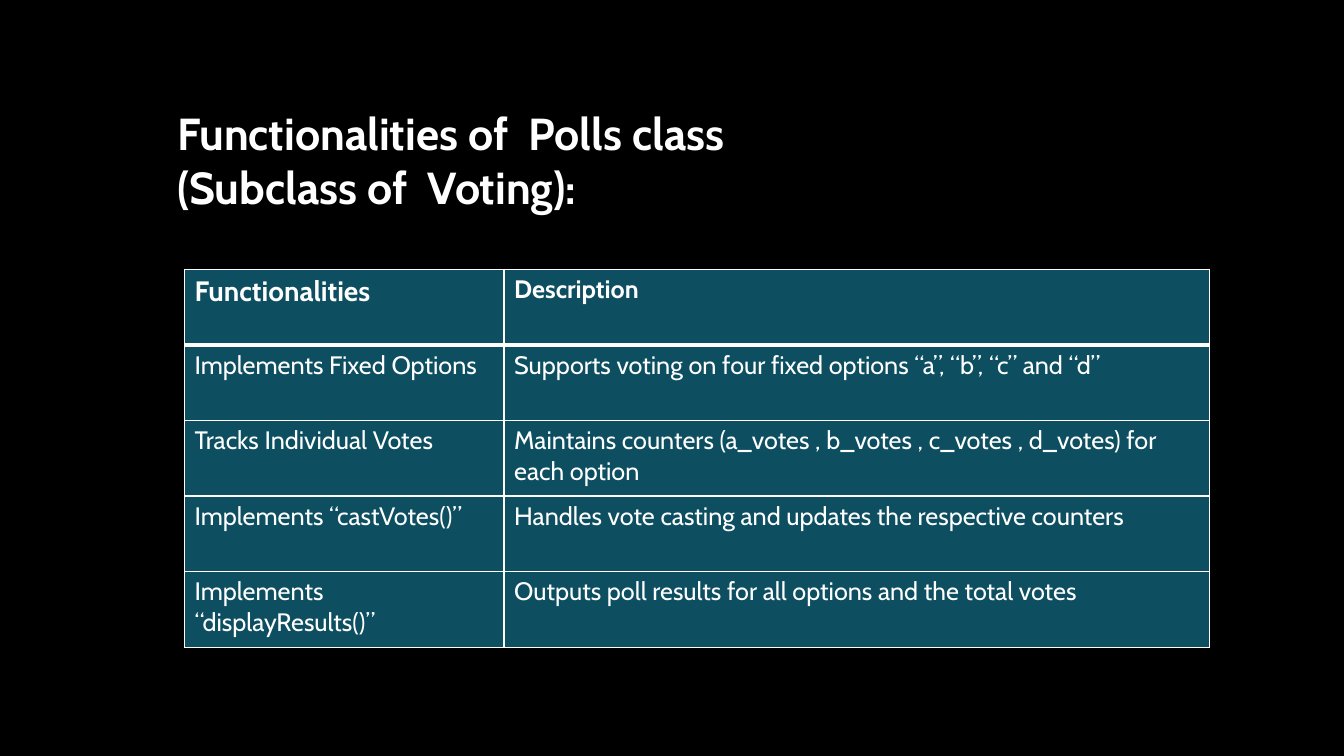
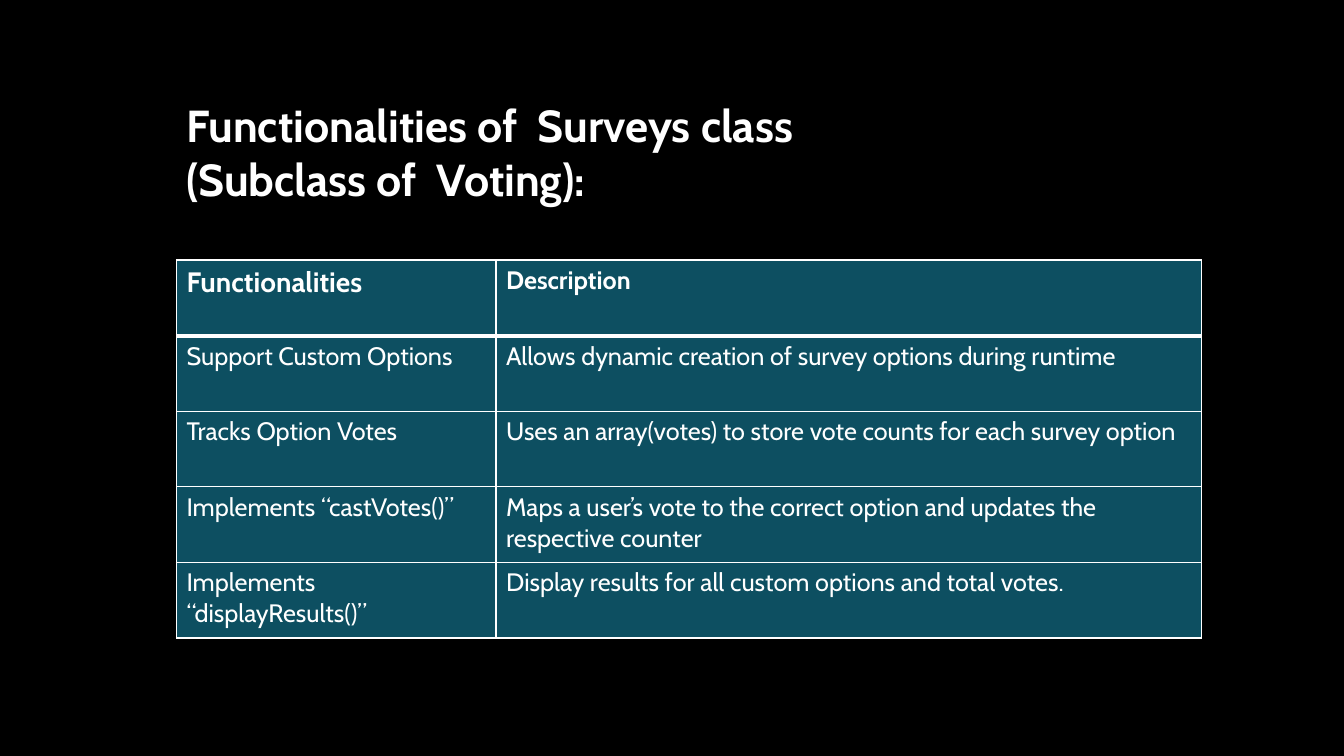
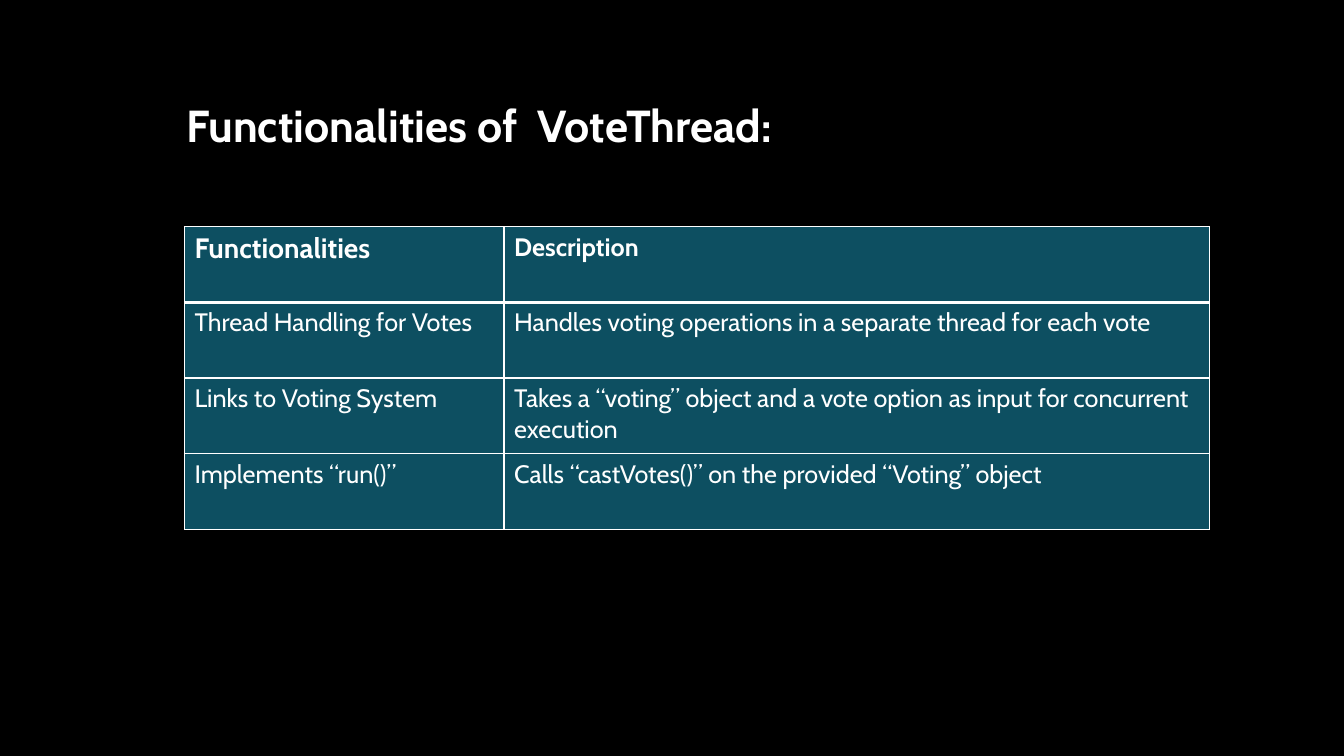
"""Build three slides that describe the classes of a voting program."""
import dataclasses

import lxml.etree
import pptx
import pptx.dml.color
import pptx.enum.text
import pptx.oxml.ns
import pptx.util
from pptx.util import Inches


@dataclasses.dataclass(frozen=True)
class Theme:
    """Hold the colours, type sizes and table measures of the deck."""
    font: str = "Cabin"
    background: str = "000000"
    text: str = "FFFFFF"
    cell: str = "0D4F61"
    border: str = "FFFFFF"
    title_size: int = 32
    heading_size: int = 20
    body_size: int = 18
    border_width: int = 1
    header_rule_width: int = 3
    title_width: float = 6.83
    column_widths: tuple = (3.17, 7)
    row_height: float = 0.75


THEME = Theme()
HEADER = ("Functionalities", "Description")


@dataclasses.dataclass(frozen=True)
class ClassSlide:
    """Hold the title, table rows and positions of one slide."""
    title: str
    title_box: tuple
    table_corner: tuple
    rows: tuple


CLASS_SLIDES = (
    ClassSlide(
        "Functionalities of  Polls class (Subclass of  Voting):",
        (1.66, 1, 1.18),
        (1.83, 2.67),
        (
            ("Implements Fixed Options",
             "Supports voting on four fixed options “a”, “b”, “c” and “d”"),
            ("Tracks Individual Votes",
             "Maintains counters (a_votes , b_votes , c_votes , d_votes) for each option"),
            ("Implements “castVotes()”",
             "Handles vote casting and updates the respective counters"),
            ("Implements “displayResults()”",
             "Outputs poll results for all options and the total votes"),
        ),
    ),
    ClassSlide(
        "Functionalities of  Surveys class (Subclass of  Voting):",
        (1.75, 0.92, 1.18),
        (1.75, 2.58),
        (
            ("Support Custom Options",
             "Allows dynamic creation of survey options during runtime"),
            ("Tracks Option Votes",
             "Uses an array(votes) to store vote counts for each survey option"),
            ("Implements “castVotes()”",
             "Maps a user’s vote to the correct option and updates the respective counter"),
            ("Implements “displayResults()”",
             "Display results for all custom options and total votes."),
        ),
    ),
    ClassSlide(
        "Functionalities of  VoteThread:",
        (1.75, 0.92, 0.64),
        (1.83, 2.25),
        (
            ("Thread Handling for Votes",
             "Handles voting operations in a separate thread for each vote"),
            ("Links to Voting System",
             "Takes a “voting” object and a vote option as input for concurrent execution"),
            ("Implements “run()”",
             "Calls “castVotes()” on the provided “Voting” object"),
        ),
    ),
)


def paint(fill, colour):
    """Make a fill solid in the given colour."""
    fill.solid()
    fill.fore_color.rgb = pptx.dml.color.RGBColor.from_string(colour)


def write_text(text_frame, text, size, bold):
    """Write one paragraph in the deck's font and text colour."""
    paragraph = text_frame.paragraphs[0]
    paragraph.text = text
    font = paragraph.font
    font.name = THEME.font
    font.size = pptx.util.Pt(size)
    font.bold = bold
    font.color.rgb = pptx.dml.color.RGBColor.from_string(THEME.text)


def set_borders(cell, top_width, bottom_width):
    """Draw the four borders of a table cell."""
    qualified = pptx.oxml.ns.qn
    properties = cell._tc.get_or_add_tcPr()
    widths = {"lnL": THEME.border_width, "lnR": THEME.border_width,
              "lnT": top_width, "lnB": bottom_width}
    for position, (side, width) in enumerate(widths.items()):
        line = lxml.etree.Element(qualified(f"a:{side}"), w=str(pptx.util.Pt(width)))
        fill = lxml.etree.SubElement(line, qualified("a:solidFill"))
        lxml.etree.SubElement(fill, qualified("a:srgbClr"), val=THEME.border)
        properties.insert(position, line)


def add_title(slide, text, box):
    """Add the bold title in a wrapping text box."""
    left, top, height = box
    shape = slide.shapes.add_textbox(
        Inches(left), Inches(top), Inches(THEME.title_width), Inches(height))
    text_frame = shape.text_frame
    text_frame.word_wrap = True
    text_frame.auto_size = pptx.enum.text.MSO_AUTO_SIZE.SHAPE_TO_FIT_TEXT
    write_text(text_frame, text, THEME.title_size, True)


def add_functionality_table(slide, corner, body_rows):
    """Add the two-column table with its bold header row."""
    rows = (HEADER, *body_rows)
    left, top = corner
    table = slide.shapes.add_table(
        len(rows), len(HEADER), Inches(left), Inches(top),
        Inches(sum(THEME.column_widths)), Inches(THEME.row_height * len(rows))).table
    table.horz_banding = False
    for column, width in zip(table.columns, THEME.column_widths):
        column.width = Inches(width)
    for row_index, texts in enumerate(rows):
        is_header = row_index == 0
        top_width = THEME.header_rule_width if row_index == 1 else THEME.border_width
        bottom_width = THEME.header_rule_width if is_header else THEME.border_width
        for column_index, text in enumerate(texts):
            cell = table.cell(row_index, column_index)
            is_heading = is_header and column_index == 0
            size = THEME.heading_size if is_heading else THEME.body_size
            write_text(cell.text_frame, text, size, is_header)
            paint(cell.fill, THEME.cell)
            set_borders(cell, top_width, bottom_width)


def main():
    """Build the deck and save it."""
    presentation = pptx.Presentation()
    presentation.slide_width = Inches(13.33)
    presentation.slide_height = Inches(7.5)
    paint(presentation.slide_master.background.fill, THEME.background)
    blank_layout = presentation.slide_layouts[6]
    for content in CLASS_SLIDES:
        slide = presentation.slides.add_slide(blank_layout)
        add_title(slide, content.title, content.title_box)
        add_functionality_table(slide, content.table_corner, content.rows)
    presentation.save("out.pptx")


if __name__ == "__main__":
    main()
